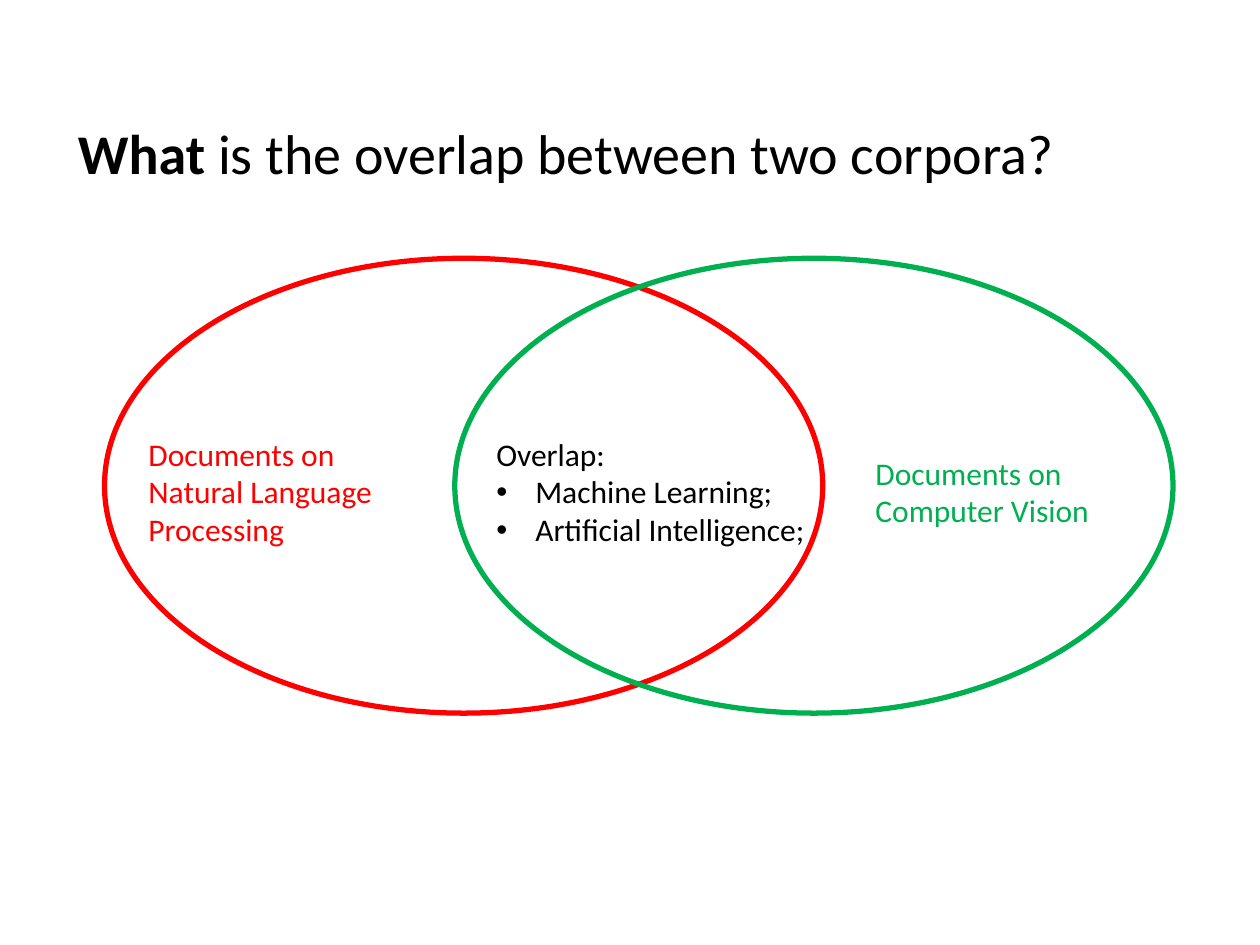
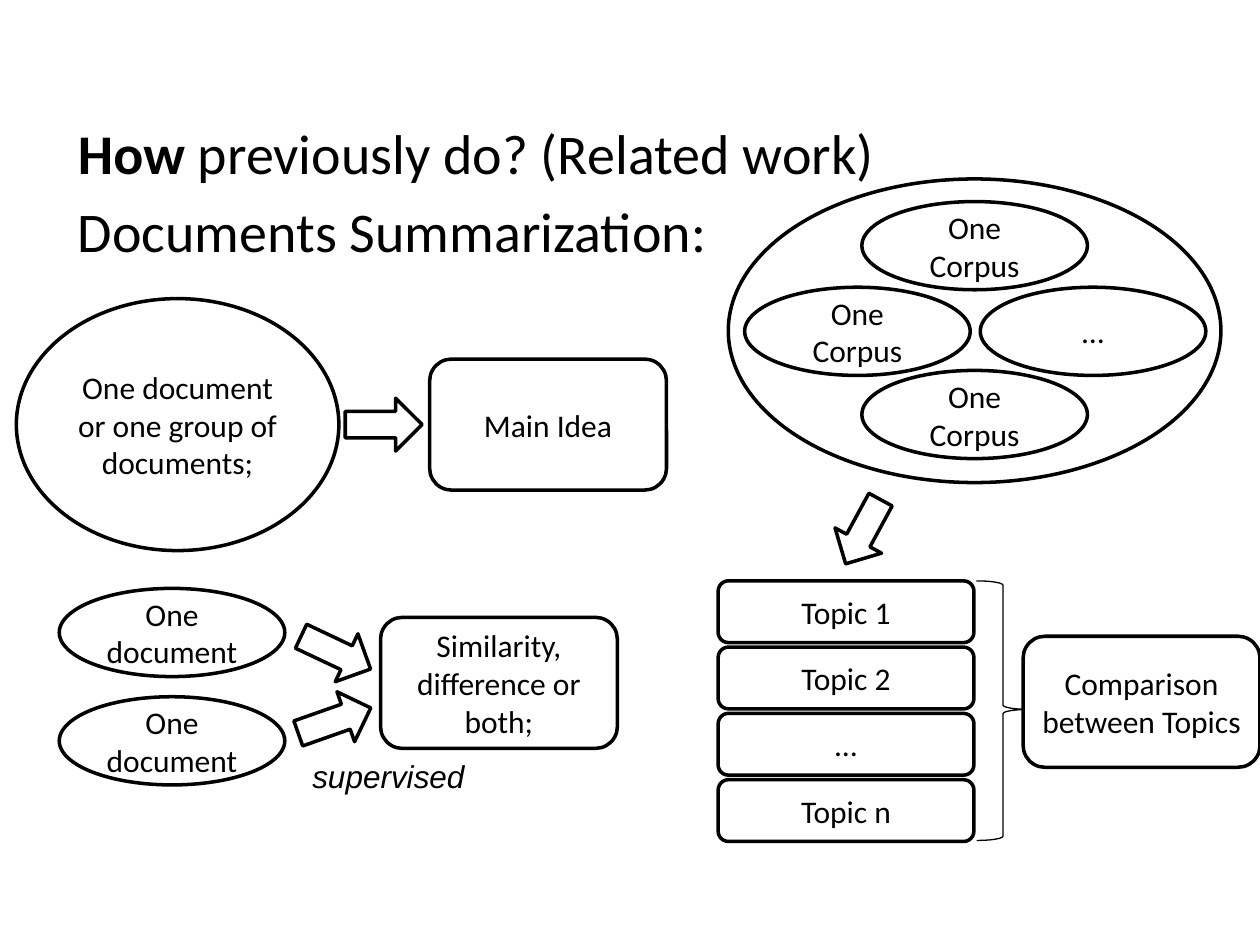
from lxml import etree
from pptx import Presentation
from pptx.dml.color import RGBColor
from pptx.enum import shapes, text
from pptx.oxml import ns
from pptx import util as u

COLORS = {"ink": "000000", "paper": "FFFFFF", "language": "FF0000", "vision": "00B050"}
COLUMNS, ROWS = 10, 7.5
ELLIPSE = shapes.MSO_SHAPE.OVAL
BOX = shapes.MSO_SHAPE.ROUNDED_RECTANGLE
ARROW = shapes.MSO_SHAPE.RIGHT_ARROW
BRACE = shapes.MSO_SHAPE.LEFT_BRACE


class Deck:
    """Shared style plus the slide being drawn; areas are (column, row, columns, rows)."""

    def __init__(self):
        self.presentation = Presentation()
        self.presentation.slide_width = u.Inches(10)
        self.presentation.slide_height = u.Inches(7.5)
        self.column = self.presentation.slide_width / COLUMNS
        self.row = self.presentation.slide_height / ROWS

    def start_slide(self, question_word, question, *more_lines):
        self.slide = self.presentation.slides.add_slide(self.presentation.slide_layouts[6])
        self.ungroup()
        frame = self.text_frame((0.52, 0.89, 9.01, 5.24))
        paragraph = frame.paragraphs[0]
        paragraph.add_run().text = question_word
        paragraph.runs[0].font.bold = True
        paragraph.add_run().text = question
        self.style(paragraph, size=32)
        for line in more_lines:
            paragraph = frame.add_paragraph()
            paragraph.text = line
            paragraph.space_before = u.Pt(6.4)
            self.style(paragraph, size=32)

    def group(self):
        """Collect the following shapes in a new group."""
        self.target = self.slide.shapes.add_group_shape().shapes

    def ungroup(self):
        self.target = self.slide.shapes

    def place(self, area):
        left, top, width, height = area
        return [round(length) for length in (left * self.column, top * self.row,
                                             width * self.column, height * self.row)]

    def style(self, paragraph, color="ink", size=18, font="Calibri", italic=None):
        paragraph.font.name = font
        paragraph.font.size = u.Pt(size)
        paragraph.font.italic = italic
        paragraph.font.color.rgb = RGBColor.from_string(COLORS[color])

    def text_frame(self, area):
        frame = self.target.add_textbox(*self.place(area)).text_frame
        frame.word_wrap = True
        return frame

    def label(self, area, lines, bullets=(), **style):
        frame = self.text_frame(area)
        frame.auto_size = text.MSO_AUTO_SIZE.SHAPE_TO_FIT_TEXT
        for index, line in enumerate([*lines, *bullets]):
            paragraph = frame.add_paragraph() if index else frame.paragraphs[0]
            paragraph.text = line
            if index >= len(lines):
                self.add_bullet(paragraph)
            self.style(paragraph, **style)

    def add_bullet(self, paragraph):
        properties = paragraph._p.get_or_add_pPr()
        indent = u.Inches(0.31)
        properties.set("marL", str(indent))
        properties.set("indent", str(-indent))
        etree.SubElement(properties, ns.qn("a:buFont")).set("typeface", "Arial")
        etree.SubElement(properties, ns.qn("a:buChar")).set("char", "•")

    def shape(self, kind, area, words="", fill="paper", line="ink", weight=2, rotation=0):
        shape = self.target.add_shape(kind, *self.place(area))
        shape.shadow.inherit = False
        shape.rotation = rotation
        if fill:
            shape.fill.solid()
            shape.fill.fore_color.rgb = RGBColor.from_string(COLORS[fill])
        else:
            shape.fill.background()
        shape.line.color.rgb = RGBColor.from_string(COLORS[line])
        shape.line.width = u.Pt(weight)
        if words:
            frame = shape.text_frame
            frame.word_wrap = True
            frame.vertical_anchor = text.MSO_ANCHOR.MIDDLE
            paragraph = frame.paragraphs[0]
            paragraph.text = words
            paragraph.alignment = text.PP_ALIGN.CENTER
            self.style(paragraph)
        return shape

    def result_box(self, left, top, words):
        self.shape(BOX, (left, top, 1.88, 1.04), words)

    def small_ellipse(self, left, top, words):
        self.shape(ELLIPSE, (left, top, 1.79, 0.7), words)

    def arrow(self, left, top, rotation=0, width=0.61):
        self.shape(ARROW, (left, top, width, 0.42), rotation=rotation)


def overlap_slide(deck):
    deck.start_slide("What", " is the overlap between two corpora?")
    for left, color in ((0.83, "language"), (3.61, "vision")):
        deck.shape(ELLIPSE, (left, 2.05, 5.7, 3.61), fill=None, line=color, weight=3)
    deck.label((1.08, 3.4, 2.33, 1.01), ["Documents on Natural Language Processing"],
               color="language")
    deck.label((6.85, 3.55, 2.33, 0.71), ["Documents on", "Computer Vision"], color="vision")
    deck.label((3.84, 3.4, 3.41, 1.01), ["Overlap:"],
               bullets=["Machine Learning;", "Artificial Intelligence;"])


def related_work_slide(deck):
    deck.start_slide("How", " previously do? (Related work)", "Documents Summarization:")

    deck.group()
    deck.shape(ELLIPSE, (0.13, 2.37, 2.56, 2), "One document or one group of documents;")
    deck.arrow(2.74, 3.16)
    deck.result_box(3.41, 2.85, "Main Idea")

    deck.group()
    for top in (4.67, 5.53):
        deck.small_ellipse(0.47, top, "One document")
    deck.result_box(3.02, 4.9, "Similarity, difference or both;")
    deck.arrow(2.36, 4.97, rotation=25.3)
    deck.arrow(2.35, 5.51, rotation=340.6)

    deck.group()
    deck.shape(ELLIPSE, (5.78, 1.42, 3.91, 2.41))
    for left, top, words in ((5.91, 2.28, "One Corpus"), (6.84, 1.6, "One Corpus"),
                             (6.84, 2.94, "One Corpus"), (7.78, 2.28, "…")):
        deck.small_ellipse(left, top, words)
    deck.arrow(6.56, 4.01, rotation=118.5, width=0.58)
    for index, topic in enumerate(("Topic 1", "Topic 2", "…", "Topic n")):
        deck.shape(BOX, (5.7, 4.61 + index * 0.526, 2.03, 0.49), topic)
    brace = deck.shape(BRACE, (7.75, 4.61, 0.42, 2.06), fill=None, weight=0.75, rotation=180)
    brace.adjustments[0] = 0.08
    brace.adjustments[1] = 0.505
    deck.result_box(8.12, 5.05, "Comparison between Topics")

    deck.ungroup()
    deck.label((2.38, 5.96, 2.11, 0.4), ["supervised"], font="Arial", italic=True)


def main():
    deck = Deck()
    overlap_slide(deck)
    related_work_slide(deck)
    deck.presentation.save("out.pptx")


if __name__ == "__main__":
    main()
